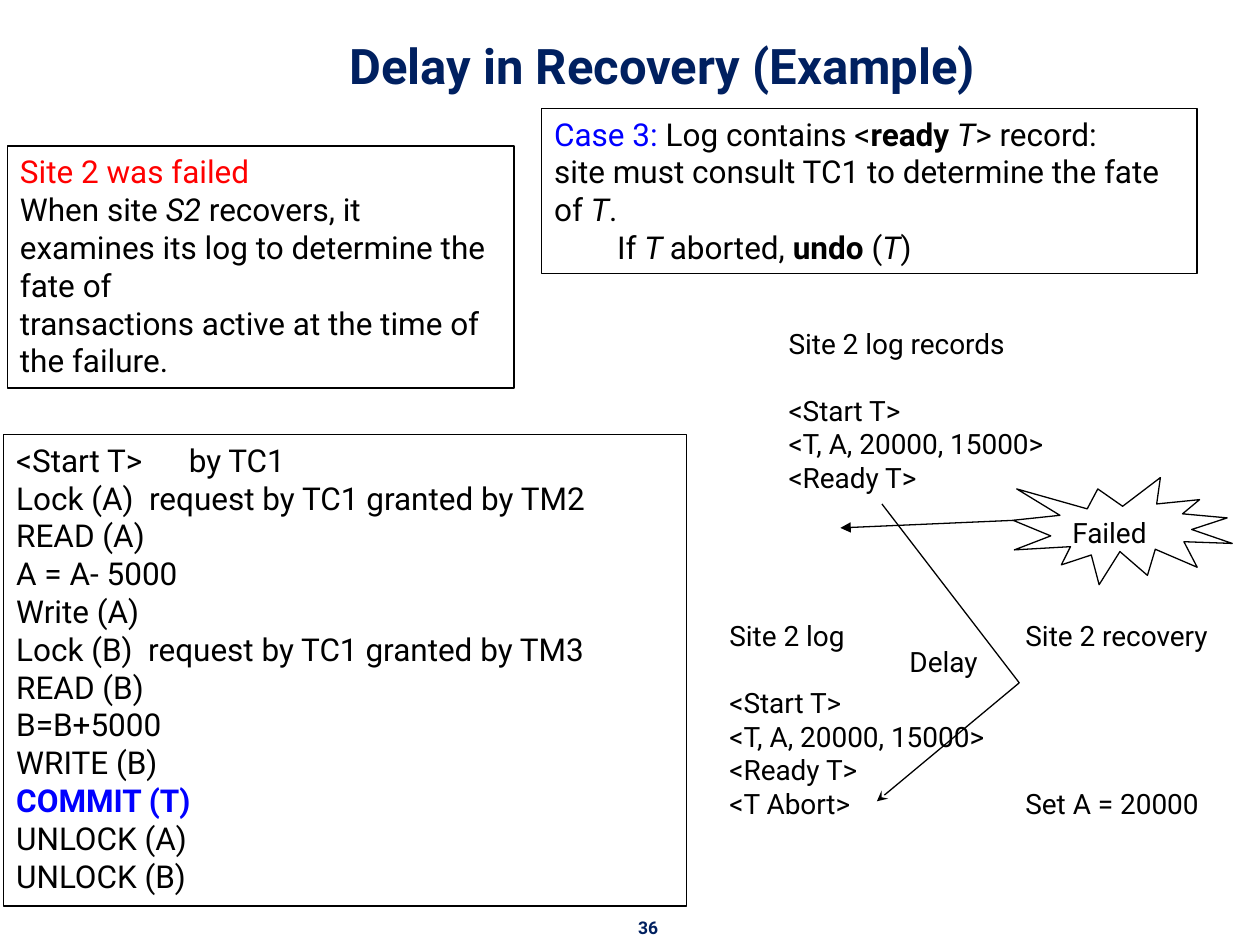
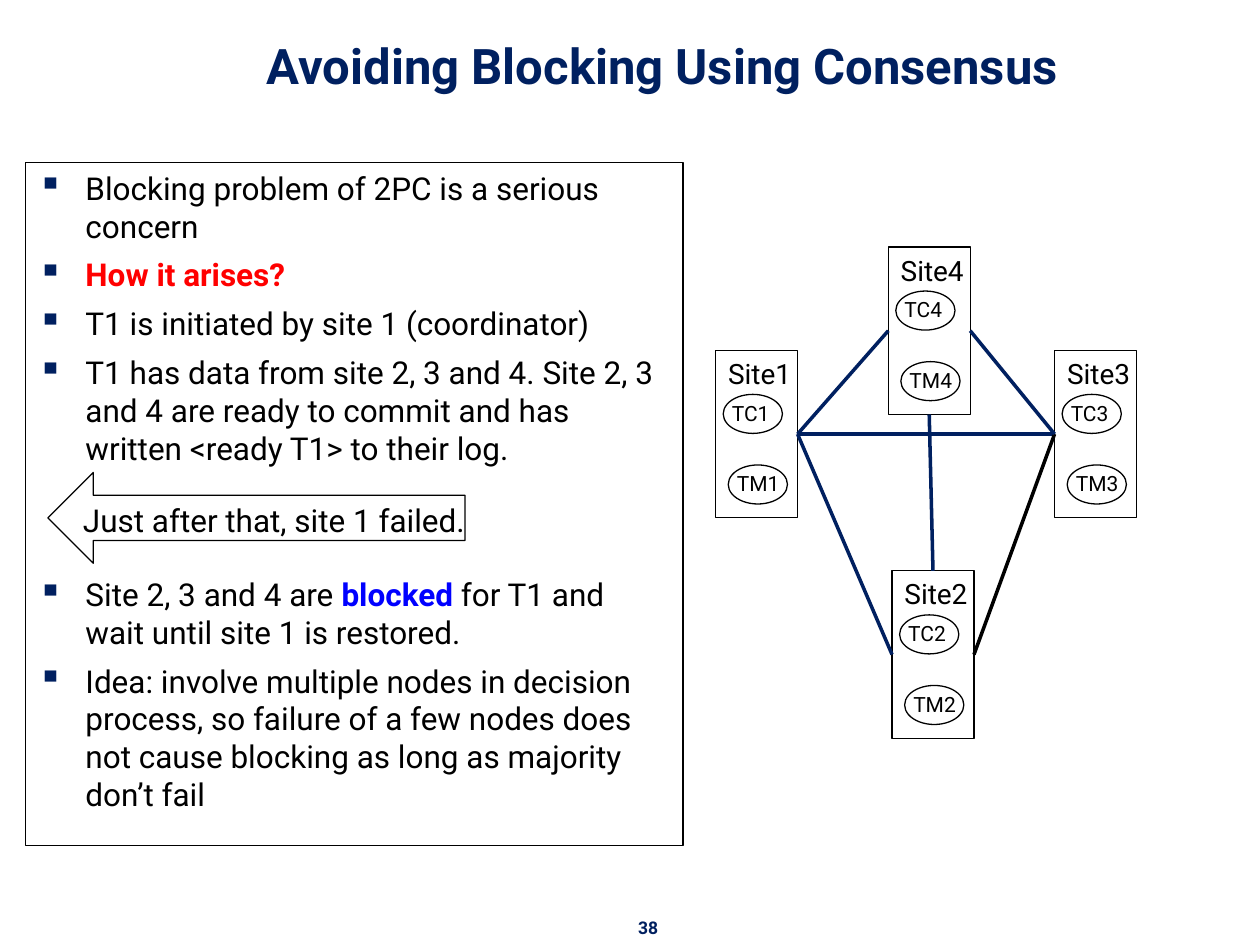
import dataclasses

import lxml.etree
import pptx
import pptx.dml.color
import pptx.enum.shapes
import pptx.enum.text
import pptx.oxml
import pptx.oxml.ns
import pptx.util

Inches = pptx.util.Inches
Pt = pptx.util.Pt
RGBColor = pptx.dml.color.RGBColor
Shape = pptx.enum.shapes.MSO_SHAPE
Align = pptx.enum.text.PP_ALIGN
Anchor = pptx.enum.text.MSO_ANCHOR
qn = pptx.oxml.ns.qn

NAVY = RGBColor(0x00, 0x20, 0x60)
BLACK = RGBColor(0x00, 0x00, 0x00)
WHITE = RGBColor(0xFF, 0xFF, 0xFF)
RED = RGBColor(0xFF, 0x00, 0x00)
BLUE = RGBColor(0x00, 0x00, 0xFF)

FONT = "Roboto"
THIN, THICK = 0.75, 2
BLANK_LINE = 19.2  # height of one 16-point line
BULLET_GAP = 6.3
TOP, LEFT, BOTTOM, RIGHT = range(4)  # connection points of a rectangle


@dataclasses.dataclass
class Run:
    text: str
    color: RGBColor = BLACK
    bold: bool = False
    italic: bool = False


@dataclasses.dataclass
class Paragraph:
    runs: list
    before: float = 0
    indent: float = 0
    tab: float = 0
    bullet: bool = False


def as_paragraph(content):
    """Accept a plain string, a list of runs or a full paragraph."""
    if isinstance(content, Paragraph):
        return content
    return Paragraph([Run(content)] if isinstance(content, str) else content)


def add_child(parent, tag, **attributes):
    return lxml.etree.SubElement(parent, qn(tag), attributes)


class Deck:
    def __init__(self):
        self.presentation = pptx.Presentation()
        self.presentation.slide_width = Inches(10)
        self.presentation.slide_height = Inches(7.5)
        self.slide = None

    def start_slide(self, title, number):
        layout = self.presentation.slide_layouts.get_by_name("Title Only")
        self.slide = self.presentation.slides.add_slide(layout)
        placeholder = self.slide.shapes.title
        self.place(placeholder, 0.84, 0.13, 8.83, 0.67)
        self.fill_text(placeholder, [[Run(title, NAVY, bold=True)]], 28,
                       align=Align.CENTER, anchor=Anchor.BOTTOM)
        self.text(4.96, 7.23, 0.37, 0.27, [[Run(str(number), NAVY, bold=True)]], 10,
                  wrap=False, align=Align.CENTER)

    def place(self, shape, left, top, width, height):
        shape.left, shape.top = Inches(left), Inches(top)
        shape.width, shape.height = Inches(width), Inches(height)

    def fill_text(self, shape, contents, size, wrap=True, align=Align.LEFT,
                  anchor=Anchor.TOP, margins=True):
        frame = shape.text_frame
        frame.word_wrap = wrap
        frame.auto_size = pptx.enum.text.MSO_AUTO_SIZE.NONE
        frame.vertical_anchor = anchor
        if not margins:
            frame.margin_left = frame.margin_right = 0
            frame.margin_top = frame.margin_bottom = 0
        for index, content in enumerate(contents):
            source = as_paragraph(content)
            paragraph = frame.add_paragraph() if index else frame.paragraphs[0]
            paragraph.alignment = align
            paragraph.space_before = Pt(source.before)
            self.format_indent(paragraph, source)
            for part in source.runs:
                run = paragraph.add_run()
                run.text = part.text
                run.font.name = FONT
                run.font.size = Pt(size)
                run.font.bold = part.bold
                run.font.italic = part.italic
                run.font.color.rgb = part.color

    def format_indent(self, paragraph, source):
        properties = paragraph._p.get_or_add_pPr()
        if source.indent:
            properties.set("marL", str(Inches(source.indent)))
        if source.bullet:
            properties.set("indent", str(-Inches(source.indent)))
            color = add_child(properties, "a:buClr")
            add_child(color, "a:srgbClr", val=str(NAVY))
            add_child(properties, "a:buSzPct", val="110000")
            add_child(properties, "a:buChar", char="▪")
        if source.tab:
            tabs = add_child(properties, "a:tabLst")
            add_child(tabs, "a:tab", pos=str(Inches(source.tab)), algn="l")

    def text(self, left, top, width, height, contents, size, **options):
        box = self.slide.shapes.add_textbox(
            Inches(left), Inches(top), Inches(width), Inches(height))
        self.fill_text(box, contents, size, **options)

    def shape(self, kind, left, top, width, height, contents, size, fill=WHITE, **options):
        shape = self.slide.shapes.add_shape(
            kind, Inches(left), Inches(top), Inches(width), Inches(height))
        shape.shadow.inherit = False
        if fill is None:
            shape.fill.background()
        else:
            shape.fill.solid()
            shape.fill.fore_color.rgb = fill
        self.outline(shape)
        self.fill_text(shape, contents, size, **options)
        return shape

    def box(self, left, top, width, height, contents):
        """Outlined box of 18-point text."""
        self.shape(Shape.RECTANGLE, left, top, width, height, contents, 18, fill=None)

    def outline(self, shape, color=BLACK, width=THIN, arrowhead=None):
        shape.line.color.rgb = color
        shape.line.width = Pt(width)
        if arrowhead:
            add_child(shape._element.spPr.find(qn("a:ln")), "a:tailEnd", type=arrowhead)

    def line(self, start, end, **style):
        connector = self.slide.shapes.add_connector(
            pptx.enum.shapes.MSO_CONNECTOR.STRAIGHT, *map(Inches, start + end))
        self.outline(connector, **style)
        add_child(connector._element.spPr, "a:effectLst")
        return connector

    def link(self, first, first_side, second, second_side, color=NAVY):
        connector = self.line((0, 0), (1, 1), color=color, width=THICK)
        connector.begin_connect(first, first_side)
        connector.end_connect(second, second_side)

    def bent_arrow(self, points):
        start, *others = [tuple(map(Inches, point)) for point in points]
        builder = self.slide.shapes.build_freeform(*start)
        builder.add_line_segments(others, close=False)
        arrow = builder.convert_to_shape()
        arrow.shadow.inherit = False
        arrow.fill.background()
        self.outline(arrow, arrowhead="stealth")

    def site(self, number, left, top):
        """Site box holding its coordinator (TC) and its manager (TM)."""
        site = self.shape(Shape.RECTANGLE, left, top, 0.65, 1.33,
                          [f"Site{number}"], 16, wrap=False)
        for name, across, down in (("TC", 0.06, 0.35), ("TM", 0.1, 0.91)):
            self.shape(Shape.OVAL, left + across, top + down, 0.47, 0.31,
                       [f"{name}{number}"], 12, wrap=False, margins=False)
        return site


def build_recovery_slide(deck):
    deck.start_slide("Delay in Recovery (Example)", 36)
    deck.box(0.06, 1.16, 4.02, 1.92, [
        [Run("Site 2 was failed", RED)],
        [Run("When site "), Run("S2 ", italic=True),
         Run("recovers, it examines its log to determine the fate of")],
        "transactions active at the time of the failure.",
    ])
    deck.box(0.03, 3.45, 5.42, 3.74, [
        Paragraph([Run("<Start T>\tby TC1")], tab=1.37),
        "Lock (A)  request by TC1 granted by TM2",
        "READ (A)",
        "A = A- 5000",
        "Write (A)",
        "Lock (B)  request by TC1 granted by TM3",
        "READ (B)",
        "B=B+5000",
        "WRITE (B)",
        [Run("COMMIT (T)", BLUE, bold=True)],
        "UNLOCK (A)",
        "UNLOCK (B)",
    ])

    log = [Paragraph([Run("<Start T>")], before=BLANK_LINE),
           "<T, A, 20000, 15000>", "<Ready T>"]
    deck.text(6.16, 2.54, 3.62, 2.52, ["Site 2 log records", *log], 16)
    deck.shape(Shape.EXPLOSION1, 8.04, 3.79, 1.74, 0.85, ["Failed"], 16, wrap=False)
    deck.line((8.04, 4.13), (6.67, 4.19), arrowhead="triangle")
    deck.text(5.69, 4.86, 2.42, 1.72, ["Site 2 log", *log, "<T Abort>"], 16)
    deck.text(8.04, 4.86, 1.9, 1.72, [
        "Site 2 recovery",
        Paragraph([Run("Set A = 20000")], before=4 * BLANK_LINE),
    ], 16)

    deck.box(4.3, 0.86, 5.2, 1.31, [
        [Run("Case 3: ", BLUE), Run("Log contains <"), Run("ready ", bold=True),
         Run("T", italic=True), Run("> record:")],
        [Run("site must consult TC1 to determine the fate of "),
         Run("T", italic=True), Run(".")],
        Paragraph([Run("If "), Run("T ", italic=True), Run("aborted, "),
                   Run("undo ", bold=True), Run("("), Run("T", italic=True),
                   Run(")")], indent=0.5),
    ])
    deck.bent_arrow([(7, 4), (8.09, 5.42), (6.96, 6.36)])
    deck.text(7.12, 5.07, 0.8, 0.37, ["Delay"], 16)


def build_consensus_slide(deck):
    deck.start_slide("Avoiding Blocking Using Consensus", 38)
    points = [
        [Run("Blocking problem of 2PC is a serious concern")],
        [Run("How it arises?", RED, bold=True)],
        [Run("T1 is initiated by site 1 (coordinator)")],
        [Run("T1 has data from site 2, 3 and 4. Site 2, 3 and 4 are ready to commit "
             "and has written <ready T1> to their log.")],
        [Run("Site 2, 3 and 4 are "), Run("blocked", BLUE, bold=True),
         Run(" for T1 and wait until site 1 is restored.")],
        [Run("Idea: involve multiple nodes in decision process, so failure of a few "
             "nodes does not cause blocking as long as majority don’t fail")],
    ]
    bullets = [Paragraph(runs, before=BULLET_GAP, indent=0.38, bullet=True)
               for runs in points]
    bullets[0].before = 0
    bullets[4].before = 62  # room for the arrow
    deck.box(0.2, 1.29, 5.22, 5.42, bullets)

    site1 = deck.site(1, 5.68, 2.78)
    site3 = deck.site(3, 8.37, 2.78)
    site4 = deck.site(4, 7.05, 1.96)
    site2 = deck.site(2, 7.08, 4.53)
    deck.link(site1, RIGHT, site3, LEFT)
    deck.link(site1, RIGHT, site4, LEFT)
    deck.link(site1, RIGHT, site2, LEFT)
    deck.link(site3, LEFT, site2, RIGHT, color=BLACK)
    deck.link(site4, RIGHT, site3, LEFT)
    deck.link(site4, BOTTOM, site2, TOP)
    deck.shape(Shape.LEFT_ARROW, 0.38, 3.75, 3.31, 0.72,
               ["Just after that, site 1 failed."], 18, wrap=False)


def main():
    deck = Deck()
    build_recovery_slide(deck)
    build_consensus_slide(deck)
    deck.presentation.save("out.pptx")


if __name__ == "__main__":
    main()
